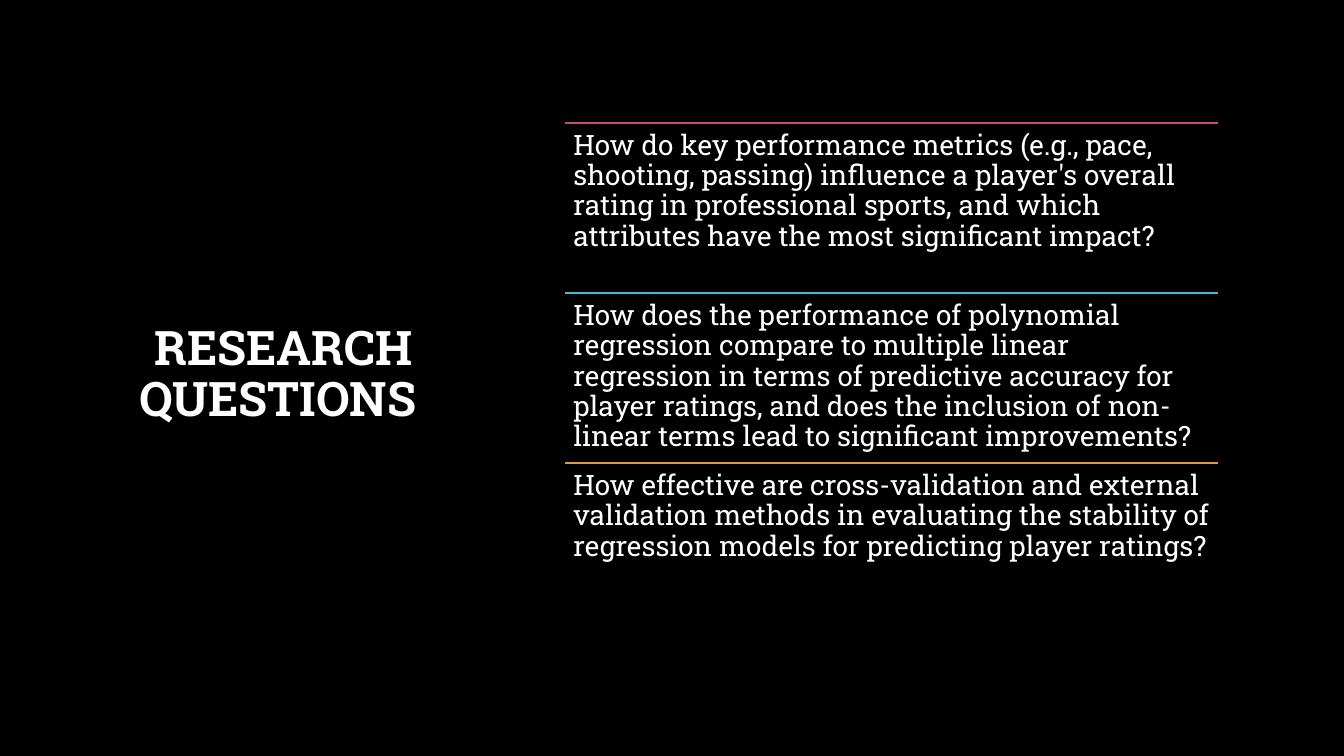
from lxml import etree
from pptx import Presentation
from pptx.dml.color import RGBColor
from pptx.enum.shapes import MSO_CONNECTOR
from pptx.enum.text import MSO_ANCHOR as ANCHOR, PP_ALIGN as ALIGN
from pptx.oxml.ns import qn
from pptx.util import Pt

PX = 9525
FONT = "Roboto Slab"
COLORS = {
    "background": "000000",
    "text": "FFFFFF",
    "rose": "C54F71",
    "teal": "45BCD2",
    "amber": "DE9C3C",
}
QUESTIONS = [
    ("rose", "How do key performance metrics (e.g., pace, shooting, passing) "
             "influence a player's overall rating in professional sports, and "
             "which attributes have the most significant impact?"),
    ("teal", "How does the performance of polynomial regression compare to "
             "multiple linear regression in terms of predictive accuracy for "
             "player ratings, and does the inclusion of non-linear terms lead "
             "to significant improvements?"),
    ("amber", "How effective are cross-validation and external validation "
              "methods in evaluating the stability of regression models for "
              "predicting player ratings?"),
]


class Deck:
    def __init__(self, width, height):
        self.prs = Presentation()
        self.prs.slide_width, self.prs.slide_height = width * PX, height * PX
        self.s = self.prs.slides.add_slide(self.prs.slide_layouts[6])
        fill = self.s.background.fill
        fill.solid()
        fill.fore_color.rgb = self.color("background")

    def color(self, name):
        return RGBColor.from_string(COLORS[name])

    def text(self, x, y, w, h, text, size, bold=False, inset=8,
             align=ALIGN.LEFT, anchor=ANCHOR.TOP):
        sp = self.s.shapes.add_textbox(x * PX, y * PX, w * PX, h * PX)
        tf = sp.text_frame
        tf.word_wrap = True
        tf.vertical_anchor = anchor
        tf.margin_left = tf.margin_right = inset * PX
        tf.margin_top = tf.margin_bottom = inset * PX
        p = tf.paragraphs[0]
        p.text = text
        p.alignment = align
        p.line_spacing = 0.9
        p.font.name = FONT
        p.font.size = Pt(size)
        p.font.bold = bold
        p.font.color.rgb = self.color("text")

    def rule(self, x, y, w, color):
        line = self.s.shapes.add_connector(
            MSO_CONNECTOR.STRAIGHT, x * PX, y * PX, (x + w) * PX, y * PX)
        line.line.color.rgb = self.color(color)
        line.line.width = Pt(1)
        effects = etree.SubElement(line._element.spPr, qn("a:effectLst"))
        shadow = etree.SubElement(
            effects, qn("a:outerShdw"), blurRad=str(Pt(4)), dist=str(Pt(3)),
            dir="5400000", rotWithShape="0")
        black = etree.SubElement(shadow, qn("a:srgbClr"), val="000000")
        etree.SubElement(black, qn("a:alpha"), val="54000")


def main():
    deck = Deck(1280, 720)
    deck.text(79, 64, 382, 588, "RESEARCH QUESTIONS ", 34, bold=True, inset=10,
              align=ALIGN.CENTER, anchor=ANCHOR.MIDDLE)
    left, top, width, row = 538, 117, 622, 162
    for i, (color, question) in enumerate(QUESTIONS):
        y = top + i * row
        deck.rule(left, y, width, color)
        deck.text(left, y, width, row, question, 20)
    deck.prs.save("out.pptx")


if __name__ == "__main__":
    main()
